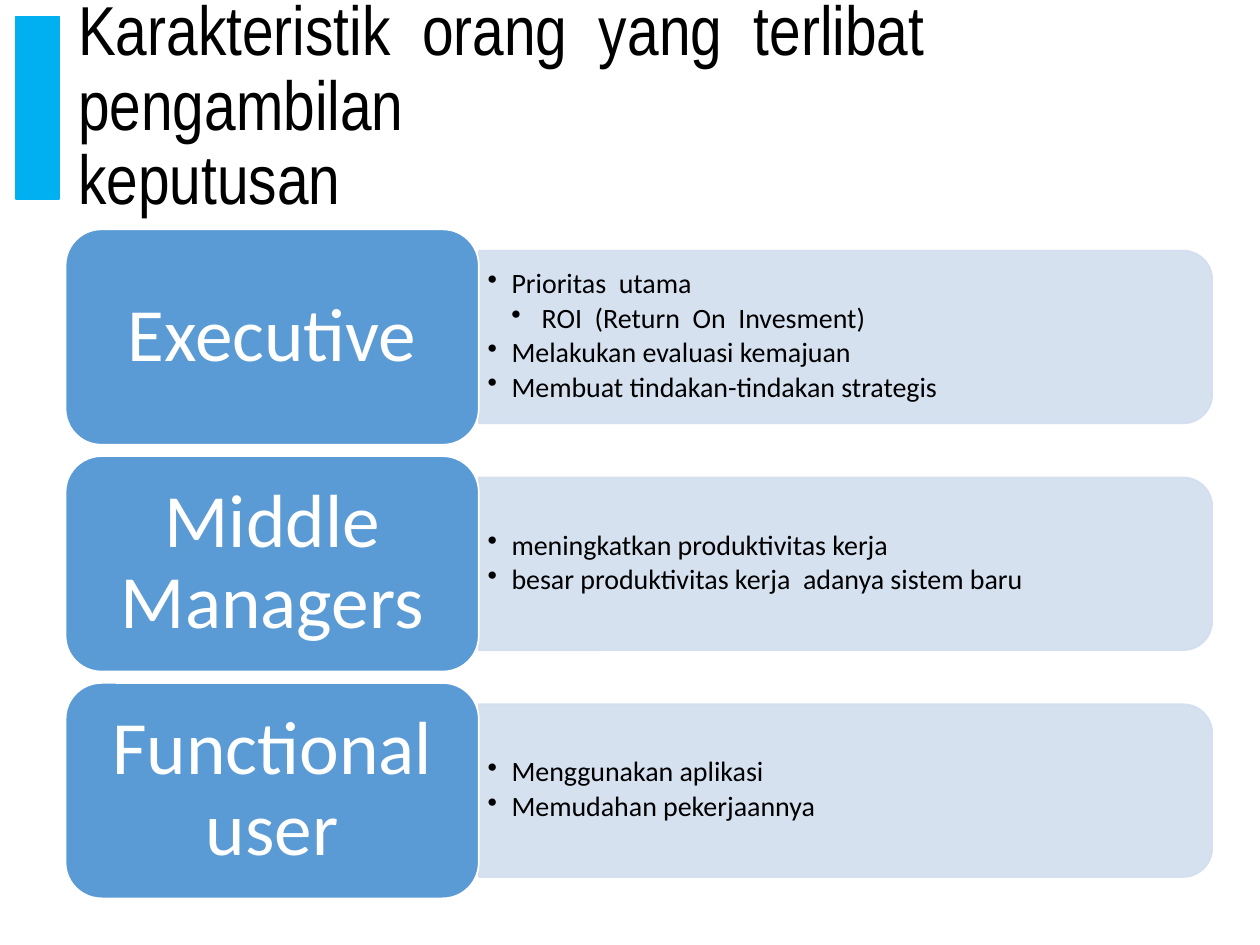
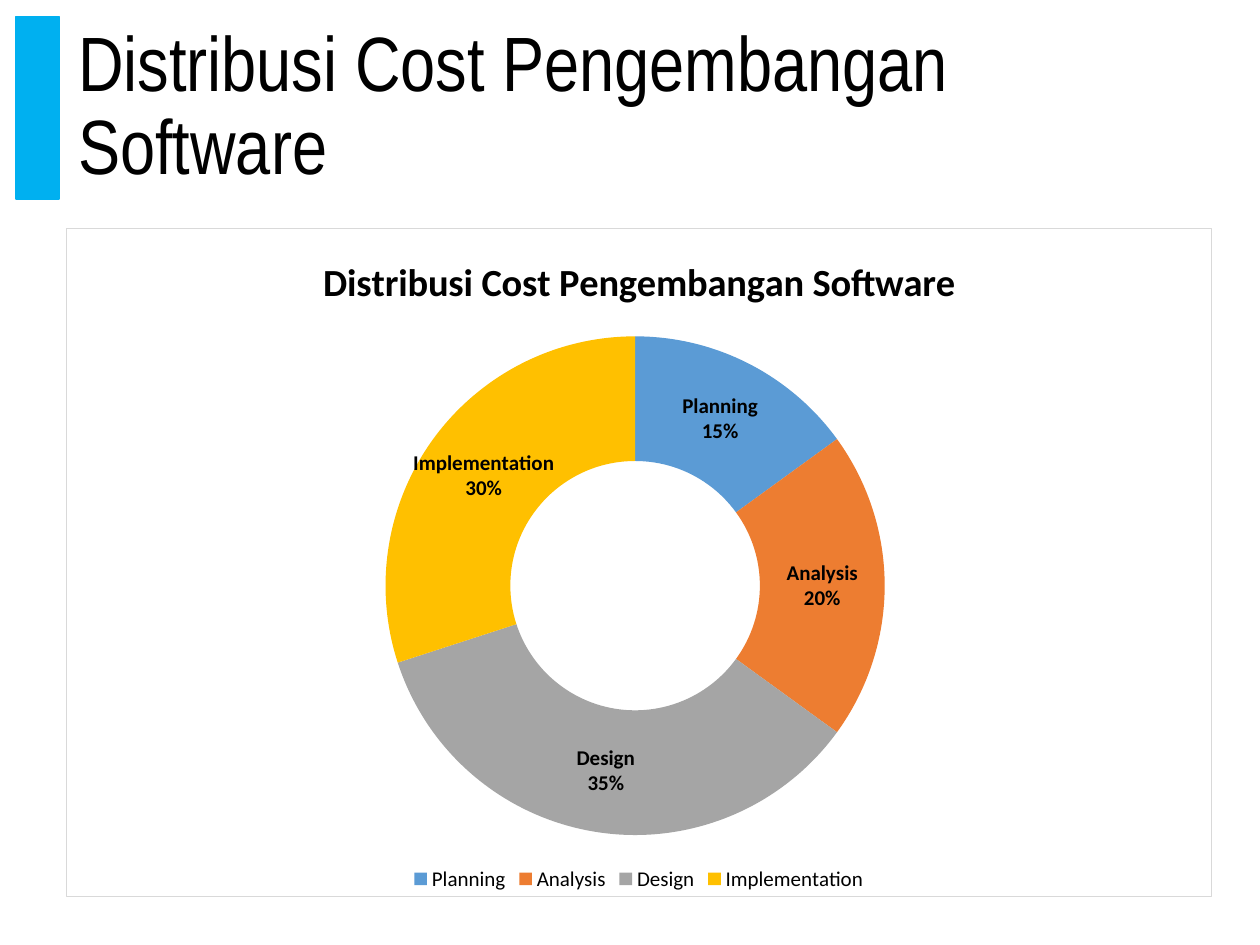
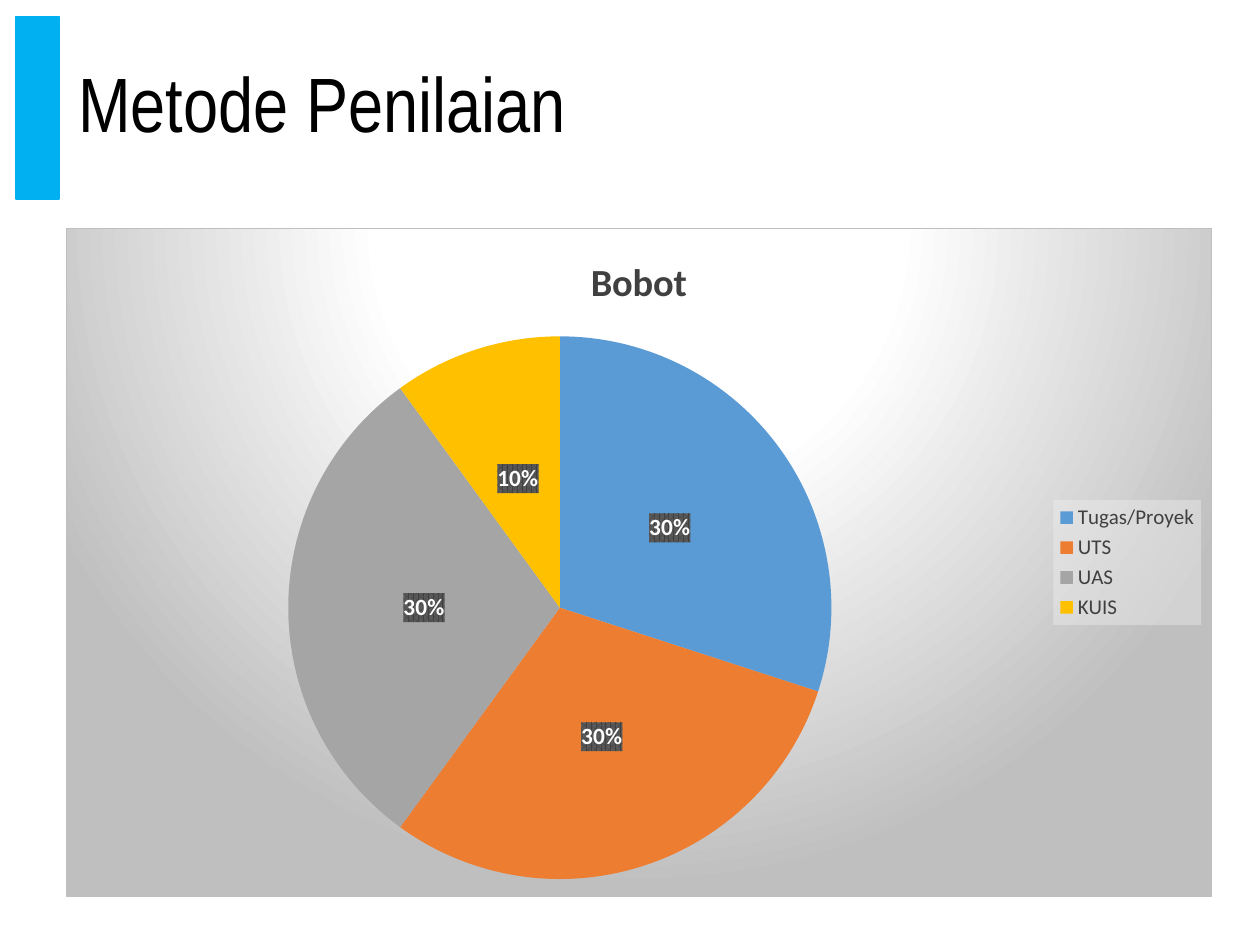
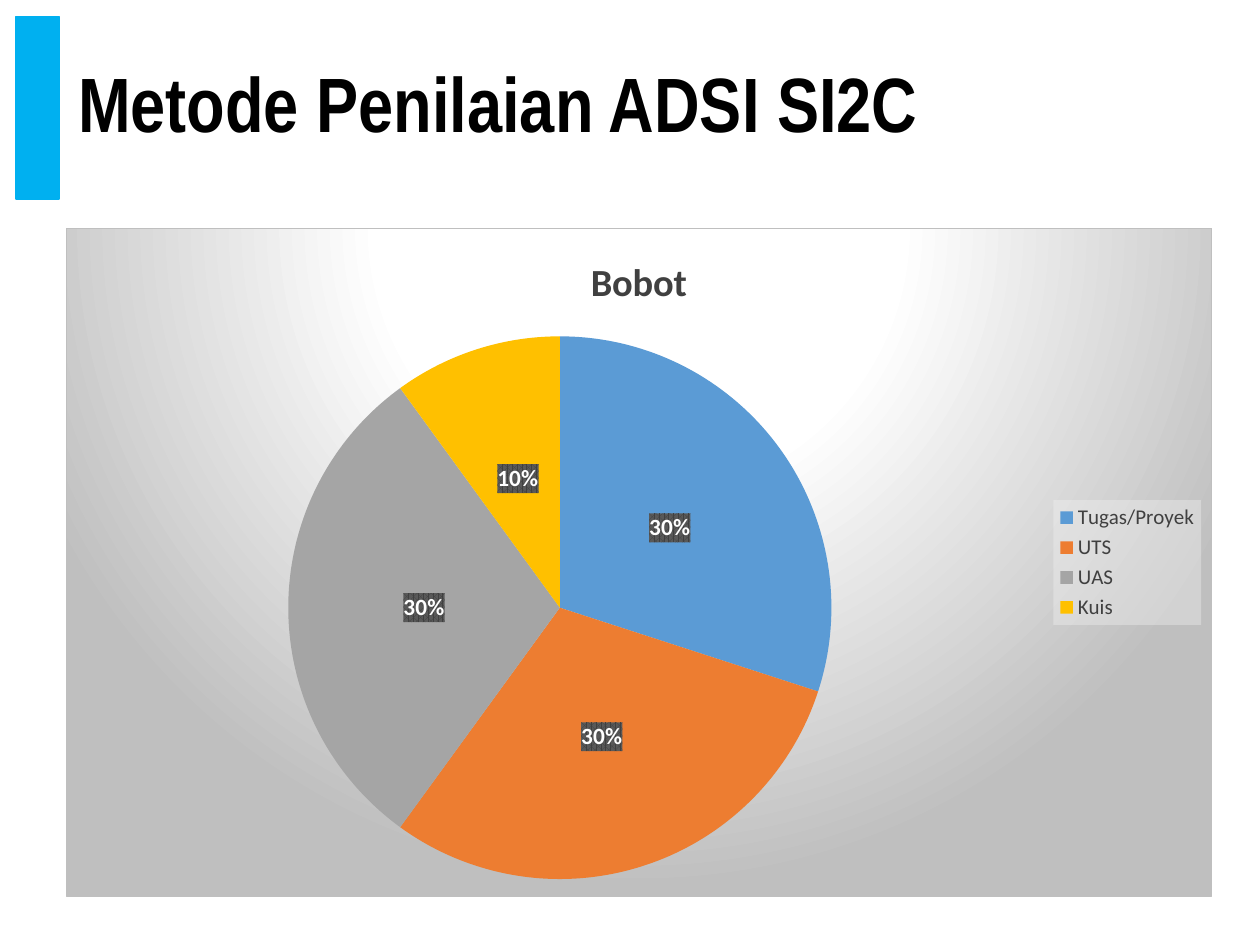
from pptx import Presentation
from pptx import util as u
from pptx.chart.data import CategoryChartData
from pptx.dml.color import RGBColor
from pptx.enum import chart as charts, shapes, text
from pptx.oxml import parse_xml
from pptx.oxml.ns import nsdecls, qn

COLORS = {
    "accent": "00B0F0", "label": "5B9BD5", "detail": "D2DEEF",
    "black": "000000", "white": "FFFFFF", "dark": "404040",
    "charcoal": "595959", "silver": "BFBFBF", "pale": "F2F2F2",
    "frame": "D9D9D9",
}
SLICES = ["5B9BD5", "ED7D31", "A5A5A5", "FFC000"]
HEADING_FONT, BODY_FONT = "Arial Narrow", "Calibri"

ROLES = [
    ("Executive", [
        (1, "Prioritas  utama"),
        (2, " ROI  (Return  On  Invesment)"),
        (1, "Melakukan evaluasi kemajuan"),
        (1, "Membuat tindakan-tindakan strategis"),
    ]),
    ("Middle Managers", [
        (1, "meningkatkan produktivitas kerja"),
        (1, "besar produktivitas kerja  adanya sistem baru"),
    ]),
    ("Functional user", [
        (1, "Menggunakan aplikasi"),
        (1, "Memudahan pekerjaannya"),
    ]),
]


def rgb(name):
    """Return the named colour."""
    return RGBColor.from_string(COLORS[name])


def set_font(font, size, color, bold=False, face=BODY_FONT):
    """Format a font."""
    font.name, font.size, font.bold = face, u.Pt(size), bold
    font.color.rgb = rgb(color)


def write(paragraph, content, size=16, color="black", bold=False, face=BODY_FONT,
          align=None, spacing=None, after=None, level=0):
    """Write formatted text into a paragraph, bulleted when it has a level."""
    paragraph.text = content
    for run in paragraph.runs:
        set_font(run.font, size, color, bold, face)
    paragraph.alignment = align
    paragraph.line_spacing = spacing
    if after is not None:
        paragraph.space_after = u.Pt(after)
    if level:
        paragraph.level = level
        properties = paragraph._p.get_or_add_pPr()
        properties.set("marL", str(u.Inches(0.19 * level)))
        properties.set("indent", str(u.Inches(-0.19)))
        properties.append(parse_xml(f'<a:buChar {nsdecls("a")} char="•"/>'))


def solid(name, alpha=100):
    """Return the XML of a solid fill."""
    return (f'<a:solidFill><a:srgbClr val="{COLORS[name]}">'
            f'<a:alpha val="{alpha * 1000}"/></a:srgbClr></a:solidFill>')


def spotlight():
    """Return the XML of the round white to silver gradient."""
    stops = "".join(
        f'<a:gs pos="{place * 1000}"><a:srgbClr val="{COLORS[name]}"/></a:gs>'
        for place, name in [(0, "white"), (39, "white"), (100, "silver")])
    return (f'<a:gradFill><a:gsLst>{stops}</a:gsLst><a:path path="circle">'
            '<a:fillToRect l="50000" t="-80000" r="50000" b="180000"/>'
            '</a:path></a:gradFill>')


def hatch():
    """Return the XML of the dark pattern behind percentages."""
    return (f'<a:pattFill prst="pct75"><a:fgClr><a:srgbClr val="{COLORS["dark"]}"/></a:fgClr>'
            f'<a:bgClr><a:srgbClr val="{COLORS["charcoal"]}"/></a:bgClr></a:pattFill>')


def paint(element, fill, border=None):
    """Give a chart part that already has a font its fill and border."""
    line = f'<a:ln w="9525">{solid(border)}</a:ln>' if border else "<a:ln><a:noFill/></a:ln>"
    element.find(qn("c:txPr")).addprevious(
        parse_xml(f'<c:spPr {nsdecls("c", "a")}>{fill}{line}</c:spPr>'))


class Deck:
    """Holds the style and the current slide."""

    def __init__(self):
        """Start the presentation."""
        self.deck = Presentation()
        self.deck.slide_width, self.deck.slide_height = u.Inches(10), u.Inches(7.5)
        self.layout = self.deck.slide_layouts[5]
        self.slide = None

    def shape(self, preset, left, top, width, height, fill, line):
        """Add a filled preset shape."""
        item = self.slide.shapes.add_shape(
            preset, u.Inches(left), u.Inches(top), u.Inches(width), u.Inches(height))
        item.shadow.inherit = False
        item.fill.solid()
        item.fill.fore_color.rgb = rgb(fill)
        item.line.color.rgb = rgb(line)
        item.line.width = u.Pt(1)
        return item

    def new_slide(self, heading, size=44, bold=False):
        """Add a slide with its title, and the accent bar to the layout once."""
        first = self.slide is None
        self.slide = self.deck.slides.add_slide(self.layout)
        if first:
            bar = self.shape(shapes.MSO_SHAPE.RECTANGLE, 0.13, 0.13, 0.34, 1.45, "accent", "accent")
            self.layout.shapes._spTree.insert(2, bar._element)
        title = self.slide.shapes.title
        title.left, title.top = u.Inches(0.52), u.Inches(0.13)
        title.width, title.height = u.Inches(9.1), u.Inches(1.45)
        frame = title.text_frame
        frame.auto_size = text.MSO_AUTO_SIZE.NONE
        frame.vertical_anchor = text.MSO_ANCHOR.MIDDLE
        write(frame.paragraphs[0], heading, size=size, bold=bold, face=HEADING_FONT,
              align=text.PP_ALIGN.LEFT, spacing=0.9)

    def frame(self, holder, side, edge):
        """Prepare a text frame with middle anchoring and equal opposite insets."""
        frame = holder.text_frame
        frame.word_wrap = True
        frame.vertical_anchor = text.MSO_ANCHOR.MIDDLE
        frame.margin_left = frame.margin_right = u.Inches(side)
        frame.margin_top = frame.margin_bottom = u.Inches(edge)
        return frame

    def role(self, top, name, duties):
        """Add a role label with its band of duties."""
        left, width, height = 3.8, 5.82, 1.37
        band_top = top + 0.17
        band = self.shape(
            shapes.MSO_SHAPE.ROUND_2_SAME_RECTANGLE, left + (width - height) / 2,
            band_top - (width - height) / 2, height, width, "detail", "detail")
        band.rotation = 90
        for color in band._element.spPr.iter(qn("a:srgbClr")):
            color.append(parse_xml(f'<a:alpha {nsdecls("a")} val="90000"/>'))
        box = self.slide.shapes.add_textbox(
            u.Inches(left), u.Inches(band_top + 0.06), u.Inches(5.76), u.Inches(1.24))
        frame = self.frame(box, 0.07, 0.03)
        for index, (level, duty) in enumerate(duties):
            paragraph = frame.add_paragraph() if index else frame.paragraphs[0]
            write(paragraph, duty, level=level, spacing=0.9, after=2.4)
        label = self.shape(
            shapes.MSO_SHAPE.ROUNDED_RECTANGLE, 0.52, top, 3.28, 1.71, "label", "white")
        write(self.frame(label, 0.18, 0.09).paragraphs[0], name, size=43, color="white",
              align=text.PP_ALIGN.CENTER, spacing=0.9)

    def chart(self, kind, name, shares, color, legend_place):
        """Add a chart of shares and return it with its data labels."""
        data = CategoryChartData()
        data.categories = list(shares)
        data.add_series(name, shares.values())
        chart = self.slide.shapes.add_chart(
            kind, u.Inches(0.52), u.Inches(1.81), u.Inches(9.1), u.Inches(5.31), data).chart
        set_font(chart.font, 10, "black")
        chart.has_title = True
        write(chart.chart_title.text_frame.paragraphs[0], name, size=22, color=color, bold=True)
        chart.has_legend = True
        chart.legend.position = legend_place
        chart.legend.include_in_layout = False
        set_font(chart.legend.font, 12, color)
        plot = chart.plots[0]
        plot.vary_by_categories = True
        for index, slice_color in enumerate(SLICES):
            fill = plot.series[0].points[index].format.fill
            fill.solid()
            fill.fore_color.rgb = RGBColor.from_string(slice_color)
        labels = plot.series[0].data_labels
        labels.show_value, labels.show_percentage = False, True
        return chart, labels

    def doughnut(self, name, shares):
        """Add a doughnut with category and percentage labels."""
        chart, labels = self.chart(charts.XL_CHART_TYPE.DOUGHNUT, name, shares, "black",
                                   charts.XL_LEGEND_POSITION.BOTTOM)
        paint(chart._chartSpace, solid("white"), "frame")
        chart._chartSpace.find(".//" + qn("c:holeSize")).set("val", "70")
        labels.show_category_name = True
        set_font(labels.font, 12, "black", bold=True)
        labels._element.find(qn("c:showBubbleSize")).addnext(
            parse_xml(f'<c:separator {nsdecls("c")}>\n</c:separator>'))

    def pie(self, name, shares):
        """Add a pie on a gradient with dark percentage labels."""
        chart, labels = self.chart(charts.XL_CHART_TYPE.PIE, name, shares, "dark",
                                   charts.XL_LEGEND_POSITION.RIGHT)
        paint(chart._chartSpace, spotlight(), "silver")
        paint(chart.legend._element, solid("pale", 39))
        set_font(labels.font, 13.3, "white", bold=True)
        labels.number_format, labels.number_format_is_linked = "0%", False
        labels.position = charts.XL_LABEL_POSITION.CENTER
        paint(labels._element, hatch())


def main():
    """Build the four slides."""
    deck = Deck()
    deck.new_slide("Karakteristik  orang  yang  terlibat  pengambilan \vkeputusan", size=39.6)
    for row, (name, duties) in enumerate(ROLES):
        deck.role(1.82 + 1.8 * row, name, duties)

    cost = "Distribusi Cost Pengembangan Software"
    deck.new_slide(cost)
    deck.doughnut(cost, {"Planning": 15, "Analysis": 20, "Design": 35, "Implementation": 30})

    for heading, bold, quiz in [("Metode Penilaian", False, "KUIS"),
                                ("Metode Penilaian ADSI SI2C", True, "Kuis")]:
        deck.new_slide(heading, bold=bold)
        deck.pie("Bobot", {"Tugas/Proyek": 30, "UTS": 30, "UAS": 30, quiz: 10})

    deck.deck.save("out.pptx")


if __name__ == "__main__":
    main()
